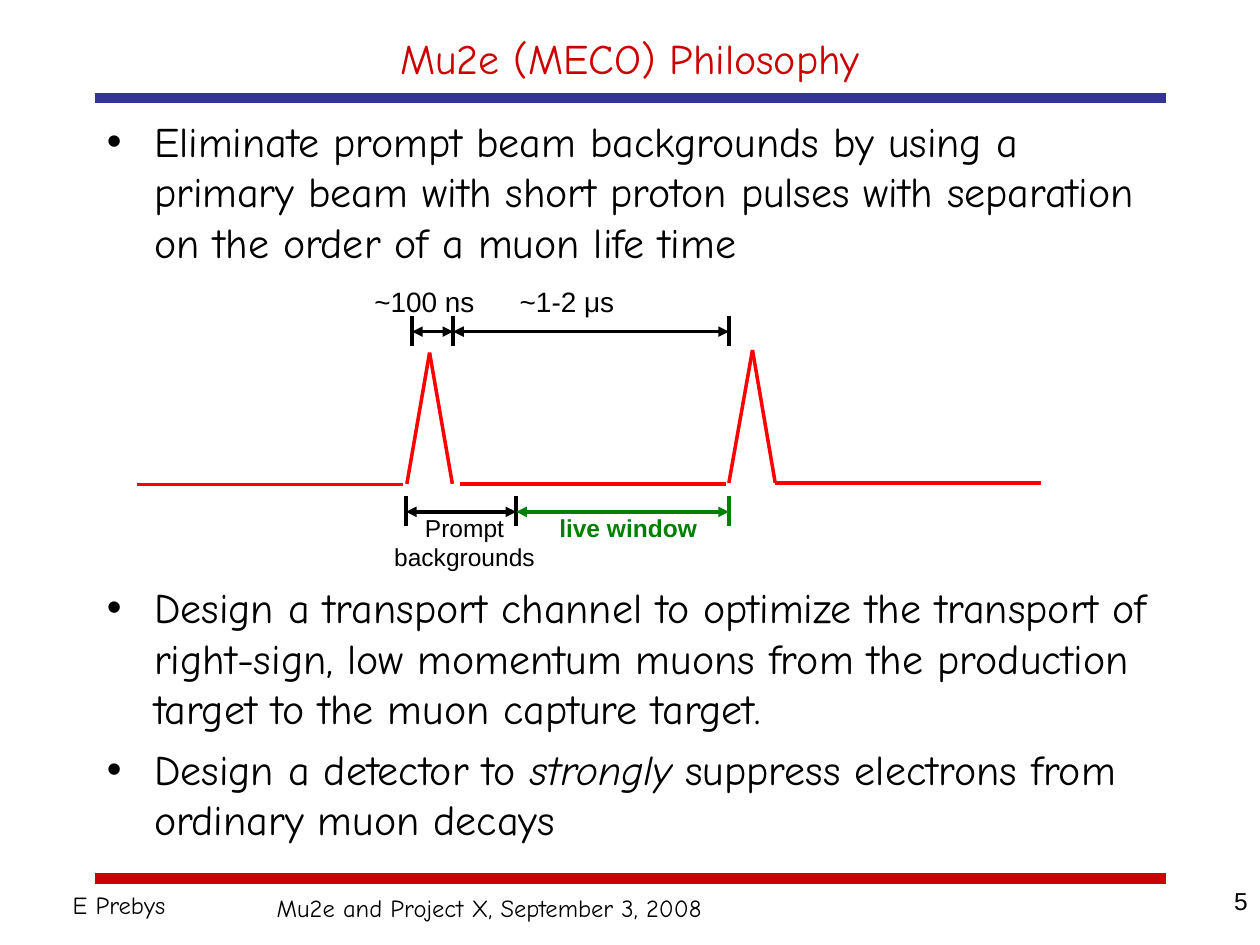
from lxml import etree
from pptx import Presentation
from pptx.dml.color import RGBColor
from pptx.enum import shapes, text
from pptx.oxml.ns import qn
from pptx.util import Pt

HAND, SANS = "Comic Neue", "Arial"
BLACK, RED, GREEN, PULSE = "000000", "CC0000", "008000", "FF0000"
LEFT, MID, RIGHT = (text.PP_ALIGN.LEFT, text.PP_ALIGN.CENTER, text.PP_ALIGN.RIGHT)


def tint(form, code):
    """Set a colour format from a hex string."""
    form.rgb = RGBColor.from_string(code)


def style(part, **vals):
    """Set format values on a font, paragraph or frame."""
    for key, val in vals.items():
        setattr(part, key, val)


def frame(slide, box, **vals):
    """Add a wrapping text box and return its frame."""
    area = slide.shapes.add_textbox(*map(Pt, box)).text_frame
    style(area, **{"word_wrap": True, **vals})
    return area


def write(para, words, size, face, code=BLACK, **vals):
    """Add one formatted run to a paragraph."""
    run = para.add_run()
    run.text = words
    style(run.font, size=Pt(size), name=face, **vals)
    tint(run.font.color, code)


def label(slide, box, words, size, face, code=BLACK, align=MID, bold=False, **vals):
    """Add a one-paragraph text box."""
    para = frame(slide, box, **vals).paragraphs[0]
    para.alignment = align
    write(para, words, size, face, code, bold=bold)


def line(slide, start, end, code, width=0, heads=False):
    """Draw a straight line, with arrowheads at both ends if asked."""
    rule = slide.shapes.add_connector(
        shapes.MSO_CONNECTOR.STRAIGHT, *map(Pt, (*start, *end)))
    tint(rule.line.color, code)
    rule.line.width = Pt(width)
    if heads:
        pen = rule.line._get_or_add_ln()
        for tag in ("a:headEnd", "a:tailEnd"):
            etree.SubElement(pen, qn(tag), type="triangle")
    etree.SubElement(rule._element.spPr, qn("a:effectLst"))


def header(slide, box):
    """Place the title above its blue rule."""
    x, y, w, h = box
    label(slide, (x + 17.5, y, w - 35, h - 2), "Mu2e (MECO) Philosophy", 24, HAND,
          RED, vertical_anchor=text.MSO_ANCHOR.MIDDLE)
    line(slide, (x, y + h), (x + w, y + h), "333399", 6)


def footer(slide, box):
    """Place the red rule, author, event and page number."""
    x, y, w, h = box
    line(slide, (x, y), (x + w, y), RED, 6)
    label(slide, (x - 19.5, y + 3, 199, 24.5), "E Prebys", 14, HAND, align=LEFT)
    label(slide, (x + 97, y + 4.5, 258.5, 24.5),
          "Mu2e and Project X, September 3, 2008", 14, HAND, align=LEFT,
          word_wrap=False)
    label(slide, (x + 498, y + 1, 168, h - 1), "5", 14, SANS, align=RIGHT)


def points(slide, box):
    """Write the bulleted points, leaving room for the timing diagram."""
    items = [
        (0, [("Eliminate prompt beam backgrounds by using a primary beam with short "
              "proton pulses with separation on the order of a muon life time", False)]),
        (180, [("Design a transport channel to optimize the transport of right-sign, "
                "low momentum muons from the production target to the muon capture "
                "target.", False)]),
        (6, [("Design a detector to", False), (" strongly", True),
             (" suppress electrons from ordinary muon decays", False)]),
    ]
    area = frame(slide, box)
    for num, (gap, runs) in enumerate(items):
        para = area.add_paragraph() if num else area.paragraphs[0]
        props = para._p.get_or_add_pPr()
        props.set("marL", str(Pt(27)))
        props.set("indent", str(-Pt(27)))
        etree.SubElement(props, qn("a:buFont"), typeface=SANS)
        etree.SubElement(props, qn("a:buChar"), char="•")
        para.space_before = Pt(gap)
        for words, slant in runs:
            write(para, words, 24, HAND, italic=slant)


def span(slide, x, y, stops, codes):
    """Draw ticks at the stops and double arrows between them."""
    for stop, code in zip(stops, (BLACK, *codes)):
        line(slide, (x + stop, y), (x + stop, y + 17), code)
    for start, end, code in zip(stops, stops[1:], codes):
        line(slide, (x + start, y + 9), (x + end, y + 9), code, heads=True)


def timing(slide, box):
    """Draw the pulse train with its time spans and labels."""
    x, y = box[:2]
    traces = [
        [(0, 118), (152, 118)],
        [(154, 117.5), (167, 42.5), (180, 117.5)],
        [(184.5, 117.5), (336.5, 117.5)],
        [(338, 117), (351.5, 41), (364.5, 117), (516.5, 117)],
    ]
    for trace in traces:
        spots = [(x + dx, y + dy) for dx, dy in trace]
        for start, end in zip(spots, spots[1:]):
            line(slide, start, end, PULSE)
    span(slide, x, y + 21.5, (157, 180.5, 338), (BLACK, BLACK))
    span(slide, x, y + 124.5, (153.5, 216.5, 338), (BLACK, GREEN))
    for dx, dy, w, h, words, size, code, bold in [
        (120, 0, 88, 26.5, "~100 ns", 16, BLACK, False),
        (201.5, 0, 88, 26.5, "~1-2 μs", 16, BLACK, False),
        (135.5, 130.5, 103, 41, "Prompt backgrounds", 14, BLACK, False),
        (229, 130.5, 103, 24.5, "live window", 14, GREEN, True),
    ]:
        label(slide, (x + dx, y + dy, w, h), words, size, SANS, code, bold=bold)


def main():
    """Build and save the slide."""
    deck = Presentation()
    style(deck, slide_width=Pt(720), slide_height=Pt(540))
    slide = deck.slides.add_slide(deck.slide_layouts[6])
    footer(slide, (54, 502, 612, 38))
    header(slide, (54, 12, 612, 44))
    points(slide, (54, 62.5, 612, 435))
    timing(slide, (78.5, 159, 516.5, 172))
    deck.save("out.pptx")


if __name__ == "__main__":
    main()
